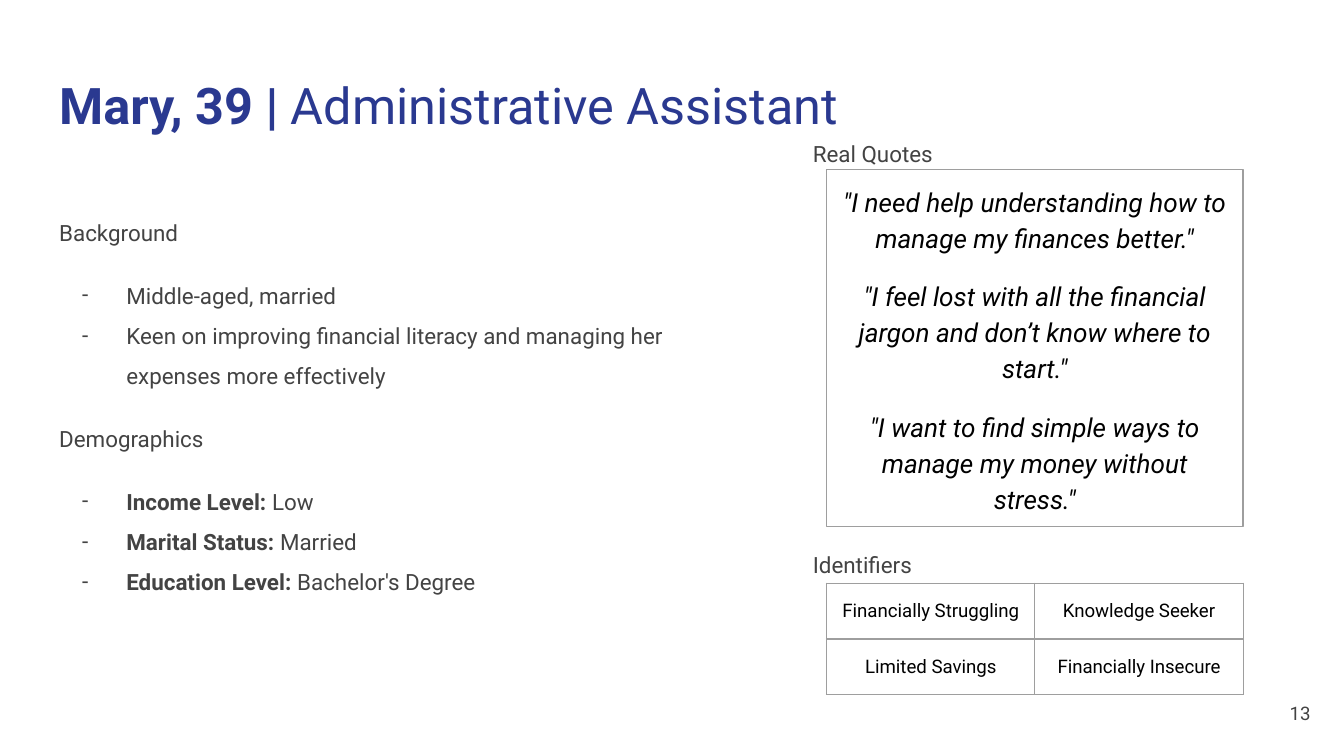
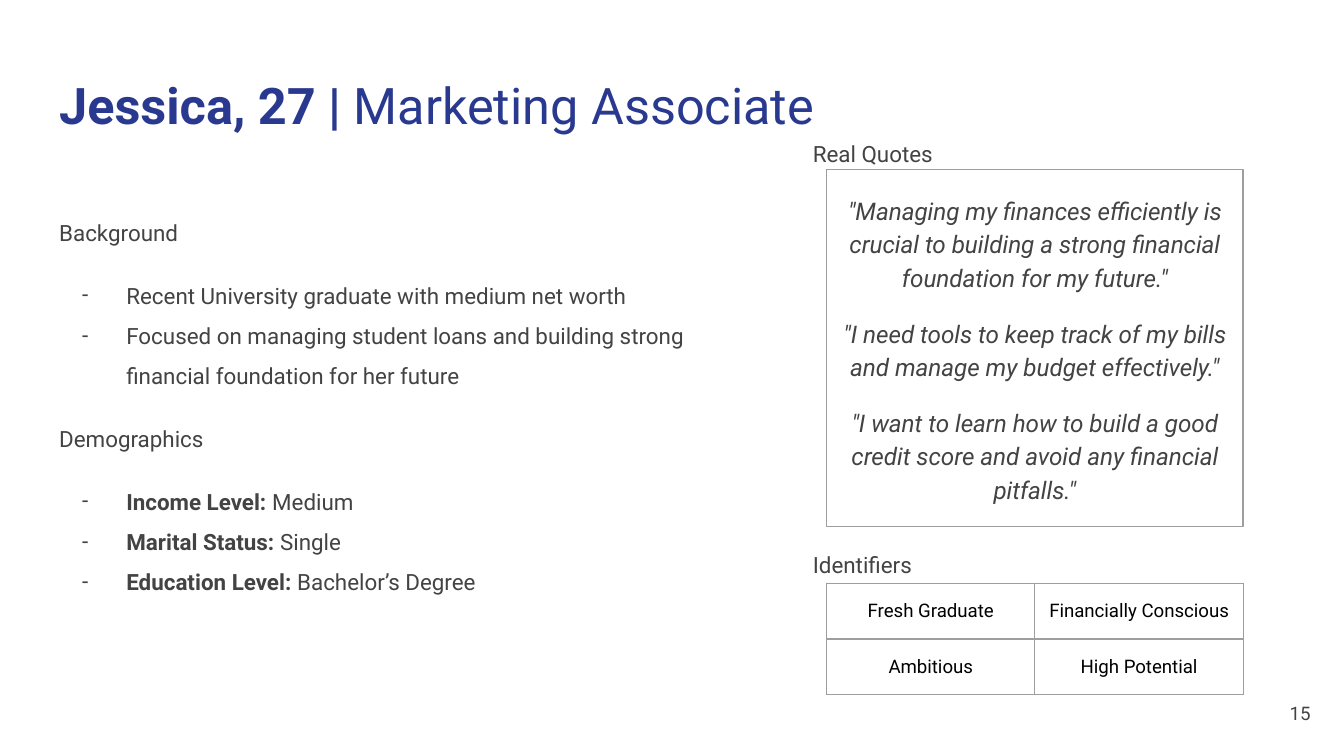
from lxml import etree
from pptx import Presentation
from pptx.dml.color import RGBColor
from pptx.enum.shapes import MSO_SHAPE
from pptx.enum.text import MSO_ANCHOR, MSO_AUTO_SIZE, PP_ALIGN
from pptx.oxml.ns import qn
from pptx.util import Inches, Pt

LEFT, CENTER, RIGHT = PP_ALIGN.LEFT, PP_ALIGN.CENTER, PP_ALIGN.RIGHT
TOP, MIDDLE = MSO_ANCHOR.TOP, MSO_ANCHOR.MIDDLE
RECTANGLE = MSO_SHAPE.RECTANGLE
NO_AUTOFIT = MSO_AUTO_SIZE.NONE

SLIDE_WIDTH = Inches(10)
SLIDE_HEIGHT = SLIDE_WIDTH * 9 // 16
FONT = "Roboto"
COLORS = {"title": "2A3990", "text": "434343", "black": "000000", "border": "9E9E9E"}
BORDER_WIDTH = Pt(0.75)
INSET = Inches(0.1)
GAP = Pt(12)

# Regions as left, top, width, height in inches
BOXES = {
    "title": (0.34, 0.45, 9.32, 0.66),
    "profile": (0.34, 1.43, 5.24, 3.66),
    "quotes": (6.15, 1.26, 3.1, 2.66),
    "identifiers": (6.15, 4.34, 3.1, 0.83),
    "number": (9.25, 5.09, 0.6, 0.43),
}
HEADING_OFFSET = 0.2  # headings start left of the box below them
HEADING_HEIGHT = 0.42

PERSONAS = [
    {
        "number": "13",
        "name": "Mary, 39",
        "role": "Administrative Assistant",
        "background": [
            "Middle-aged, married",
            "Keen on improving financial literacy and managing her expenses more effectively",
        ],
        "demographics": {
            "Income Level:": "Low",
            "Marital Status:": "Married",
            "Education Level:": "Bachelor's Degree",
        },
        "quotes": [
            '"I need help understanding how to manage my finances better."',
            '"I feel lost with all the financial jargon and don’t know where to start."',
            '"I want to find simple ways to manage my money without stress."',
        ],
        "quote_style": {"size": 14, "color": "black"},
        "identifiers": [
            ["Financially Struggling", "Knowledge Seeker"],
            ["Limited Savings", "Financially Insecure"],
        ],
    },
    {
        "number": "15",
        "name": "Jessica, 27",
        "role": "Marketing Associate",
        "background": [
            "Recent University graduate with medium net worth",
            "Focused on managing student loans and building strong financial foundation for her future",
        ],
        "demographics": {
            "Income Level:": "Medium",
            "Marital Status:": "Single",
            "Education Level:": "Bachelor’s Degree",
        },
        "quotes": [
            '"Managing my finances efficiently is crucial to building a strong financial foundation for my future."',
            '"I need tools to keep track of my bills and manage my budget effectively."',
            '"I want to learn how to build a good credit score and avoid any financial pitfalls."',
        ],
        "quote_style": {"size": 13, "color": "text"},
        "identifiers": [
            ["Fresh Graduate", "Financially Conscious"],
            ["Ambitious", "High Potential"],
        ],
    },
]


def set_attributes(target, values):
    for name, value in values.items():
        setattr(target, name, value)


def to_lengths(box):
    return [Inches(value) for value in box]


def place(shape, box):
    set_attributes(shape, dict(zip(("left", "top", "width", "height"), to_lengths(box))))


def prepare_frame(shape, anchor=TOP):
    frame = shape.text_frame
    set_attributes(frame, {
        "word_wrap": True, "auto_size": NO_AUTOFIT, "vertical_anchor": anchor,
        "margin_left": INSET, "margin_right": INSET,
        "margin_top": INSET, "margin_bottom": INSET,
    })
    return frame


def write_paragraph(frame, runs, size, color, italic=False, **layout):
    """Fill the first empty paragraph or add one; runs are (text, bold) pairs."""
    paragraph = frame.paragraphs[0]
    if paragraph.runs:
        paragraph = frame.add_paragraph()
    defaults = {"alignment": LEFT, "line_spacing": 1.0, "space_before": Pt(0), "space_after": Pt(0)}
    set_attributes(paragraph, {**defaults, **layout})
    for text, bold in runs:
        run = paragraph.add_run()
        run.text = text
        set_attributes(run.font, {"name": FONT, "size": Pt(size), "bold": bold, "italic": italic})
        run.font.color.rgb = RGBColor.from_string(COLORS[color])
    return paragraph


def set_bullet(paragraph, character=None):
    properties = paragraph._p.get_or_add_pPr()
    margin, indent = (0.5, -0.33) if character else (0, 0)
    properties.set("marL", str(Inches(margin)))
    properties.set("indent", str(Inches(indent)))
    if character is None:
        etree.SubElement(properties, qn("a:buNone"))
        return
    bullet_color = etree.SubElement(properties, qn("a:buClr"))
    etree.SubElement(bullet_color, qn("a:srgbClr"), val=COLORS["text"])
    etree.SubElement(properties, qn("a:buFont"), typeface=FONT)
    etree.SubElement(properties, qn("a:buChar"), char=character)


def set_cell_borders(cell):
    properties = cell._tc.get_or_add_tcPr()
    for side in ("lnL", "lnR", "lnT", "lnB"):
        line = etree.SubElement(properties, qn(f"a:{side}"), w=str(BORDER_WIDTH))
        fill = etree.SubElement(line, qn("a:solidFill"))
        etree.SubElement(fill, qn("a:srgbClr"), val=COLORS["border"])


def add_title(slide, box, name, role):
    title = slide.shapes.title
    place(title, box)
    write_paragraph(prepare_frame(title), [(f"{name} | ", True), (role, False)], 27, "title")


def add_profile(slide, box, sections):
    body = slide.placeholders[1]
    place(body, box)
    frame = prepare_frame(body)
    style = {"size": 12, "color": "text", "line_spacing": 1.5}
    for heading, items in sections.items():
        set_bullet(write_paragraph(frame, [(heading, False)], space_before=GAP, **style))
        for index, runs in enumerate(items):
            space = Pt(0) if index else GAP
            set_bullet(write_paragraph(frame, runs, space_before=space, **style), "-")


def add_heading(slide, box, text, rise):
    """Heading whose text box starts the given rise above a box."""
    left, top, width, _ = box
    heading_box = (left - HEADING_OFFSET, top - rise, width, HEADING_HEIGHT)
    heading = slide.shapes.add_textbox(*to_lengths(heading_box))
    write_paragraph(prepare_frame(heading), [(text, False)], 12, "text", line_spacing=1.5)


def add_quotes(slide, box, quotes, style):
    add_heading(slide, box, "Real Quotes", 0.42)
    panel = slide.shapes.add_shape(RECTANGLE, *to_lengths(box))
    panel.shadow.inherit = False
    panel.fill.background()
    panel.line.color.rgb = RGBColor.from_string(COLORS["border"])
    panel.line.width = BORDER_WIDTH
    frame = prepare_frame(panel, MIDDLE)
    for quote in quotes:
        space_after = GAP if quote == quotes[-1] else Pt(0)
        write_paragraph(frame, [(quote, False)], italic=True, alignment=CENTER,
                        line_spacing=1.15, space_before=GAP, space_after=space_after, **style)


def add_identifiers(slide, box, rows):
    add_heading(slide, box, "Identifiers", 0.44)
    table = slide.shapes.add_table(len(rows), len(rows[0]), *to_lengths(box)).table
    set_attributes(table, {"first_row": False, "horz_banding": False})
    for row_index, row in enumerate(rows):
        for column_index, text in enumerate(row):
            cell = table.cell(row_index, column_index)
            set_attributes(cell, {
                "vertical_anchor": MIDDLE, "margin_left": INSET, "margin_right": INSET,
                "margin_top": INSET, "margin_bottom": INSET,
            })
            set_cell_borders(cell)
            cell.fill.background()
            write_paragraph(cell.text_frame, [(text, False)], 10, "black", alignment=CENTER)


def add_number(slide, box, number):
    footer = slide.shapes.add_textbox(*to_lengths(box))
    write_paragraph(prepare_frame(footer, MIDDLE), [(number, False)], 10, "text", alignment=RIGHT)


def add_persona_slide(presentation, persona):
    slide = presentation.slides.add_slide(presentation.slide_layouts[1])
    demographics = persona["demographics"].items()
    sections = {
        "Background": [[(text, False)] for text in persona["background"]],
        "Demographics": [[(f"{label} ", True), (value, False)] for label, value in demographics],
    }
    add_title(slide, BOXES["title"], persona["name"], persona["role"])
    add_profile(slide, BOXES["profile"], sections)
    add_quotes(slide, BOXES["quotes"], persona["quotes"], persona["quote_style"])
    add_identifiers(slide, BOXES["identifiers"], persona["identifiers"])
    add_number(slide, BOXES["number"], persona["number"])


def main():
    presentation = Presentation()
    presentation.slide_width = SLIDE_WIDTH
    presentation.slide_height = SLIDE_HEIGHT
    for persona in PERSONAS:
        add_persona_slide(presentation, persona)
    presentation.save("out.pptx")


if __name__ == "__main__":
    main()
